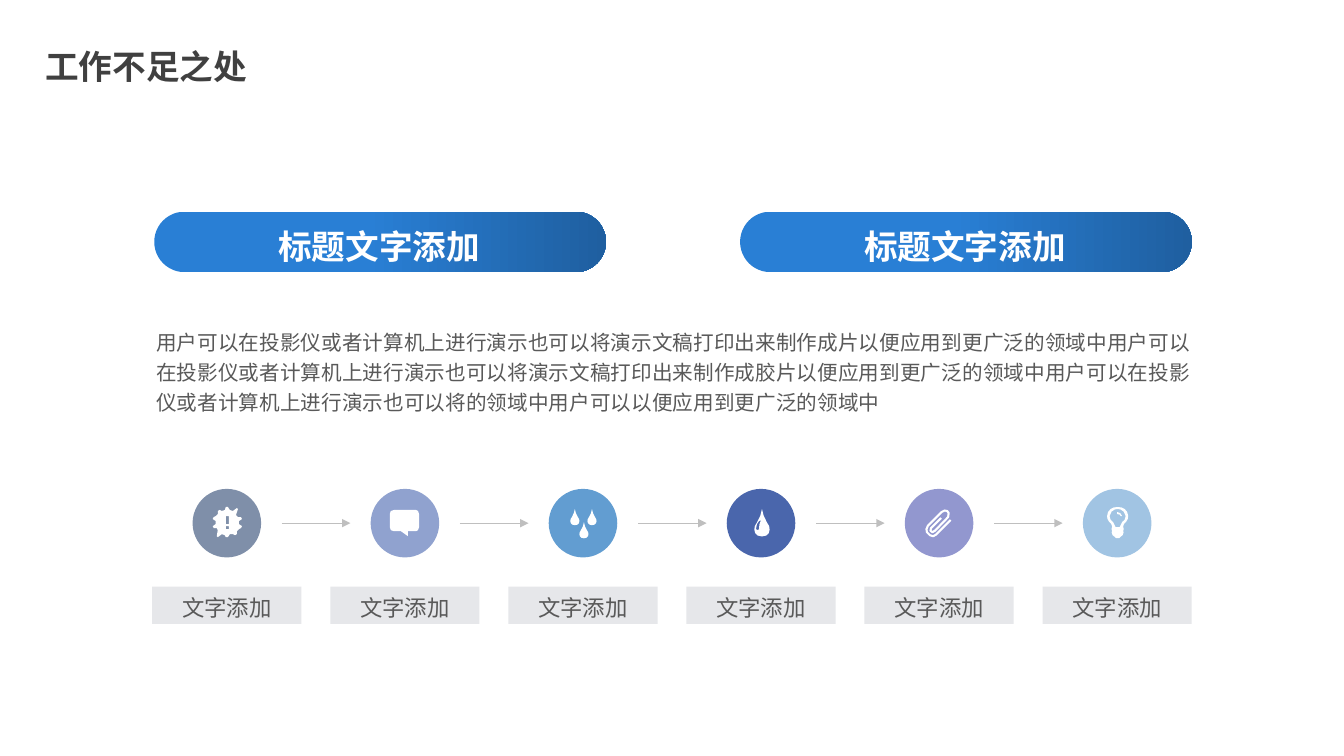
from pptx import Presentation
from pptx.dml.color import RGBColor
from pptx.enum.lang import MSO_LANGUAGE_ID
from pptx.enum.shapes import MSO_CONNECTOR, MSO_SHAPE
from pptx.enum.text import MSO_ANCHOR, PP_ALIGN
from pptx.oxml.ns import qn
from pptx.util import Pt
from lxml.etree import SubElement

PX = 9144
FINE = 10
WHITE, GREY, DARK = "FFFFFF", "595959", "404040"
CIRCLE = 68
STEP_LABEL = "文字添加"
HEADING = "标题文字添加"
BODY = (
    "用户可以在投影仪或者计算机上进行演示也可以将演示文稿打印出来制作成片以便应用到更广泛的领域中"
    "用户可以在投影仪或者计算机上进行演示也可以将演示文稿打印出来制作成胶片以便应用到更广泛的领域中"
    "用户可以在投影仪或者计算机上进行演示也可以将的领域中用户可以以便应用到更广泛的领域中"
)


def px(*lengths):
    """Turn px lengths into EMU."""
    return [round(length * PX) for length in lengths]


def paint(color_format, value):
    """Give a fill or line colour from a hex string."""
    color_format.rgb = RGBColor.from_string(value)


def solid(shape, value):
    """Fill a shape plainly, without line or shadow."""
    shape.shadow.inherit = False
    shape.fill.solid()
    paint(shape.fill.fore_color, value)
    shape.line.fill.background()


def write(shape, words, size, color, face="Arial", bold=False, align=PP_ALIGN.CENTER,
          spacing=1.2, wrap=True, top=5):
    """Set a single formatted paragraph in a shape."""
    frame = shape.text_frame
    frame.text = words
    frame_format = {"word_wrap": wrap, "vertical_anchor": MSO_ANCHOR.TOP,
                    "margin_top": px(top)[0], "margin_bottom": 0}
    for key, value in frame_format.items():
        setattr(frame, key, value)
    paragraph = frame.paragraphs[0]
    paragraph.alignment, paragraph.line_spacing = align, spacing
    font = paragraph.runs[0].font
    font_format = {"size": Pt(size), "bold": bold, "name": face,
                   "language_id": MSO_LANGUAGE_ID.SIMPLIFIED_CHINESE}
    for key, value in font_format.items():
        setattr(font, key, value)
    paint(font.color, color)
    SubElement(paragraph.runs[0]._r.rPr, qn("a:ea")).set("typeface", face)


def mirrored(half, axis, top, scale=1):
    """Close a left-hand profile with its reflection about a vertical axis."""
    left = [(axis - x * scale, top + y * scale) for x, y in half]
    return left + [(2 * axis - x, y) for x, y in reversed(left)]


DROP = [(0, 0), (1, 4), (3, 8), (4.2, 10), (4.5, 12), (4, 14), (2.5, 15.5), (0, 16)]
BULB = [(0, 0), (4, 0.5), (7, 2), (9.5, 5), (10.5, 9), (10, 12), (8.5, 14.5), (6.5, 16.5),
        (5.5, 19), (6, 22), (5.5, 24), (6, 25), (5, 28), (3, 29.5), (1.5, 31), (0, 31)]
BULB_GLASS = [(0, 0), (3, 0.5), (6, 2.5), (8, 7), (7, 10.5), (4.5, 13), (2, 18)]
BADGE = [(49, 37), (46, 35), (46, 32), (49, 30), (48, 28), (45, 28), (43, 26), (45, 20),
         (44, 19), (40, 22), (37, 21), (35, 18), (33, 18), (32, 21), (29, 22), (27, 21),
         (25, 22), (25, 25), (23, 27), (21, 28), (20, 30), (23, 32), (23, 35), (20, 37),
         (21, 39), (24, 39), (25, 41), (24, 47), (25, 48), (29, 45), (32, 46), (33, 48),
         (35, 48), (37, 45), (40, 45), (42, 46), (44, 45), (44, 42), (46, 40), (48, 39)]
BADGE_BAR = [(33, 27), (36, 27), (36, 35), (33, 35)]
BADGE_DOT = [(33, 37), (36, 37), (36, 40), (33, 40)]
BUBBLE = [(45, 21), (47, 22), (48, 25), (48, 38), (47, 41), (45, 42), (37, 42), (37, 47),
          (30, 42), (23, 42), (20, 41), (19, 38), (19, 25), (20, 22), (23, 21)]
DROP_GLINT = [(34, 31), (32.5, 35), (32, 40), (31, 41), (29, 40), (30, 35), (32, 32)]
BULB_GLINT = [(34, 23), (37, 24), (39, 27), (37.5, 27), (36.5, 25.5), (34, 25)]
CLIP = [(45.5, 31), (31, 45.5), (28, 47), (25, 46), (22, 43), (21.5, 40), (23, 36.5),
        (36.5, 23), (39.5, 21.5), (42, 22), (43.5, 24), (43, 28), (30, 41.5), (27.5, 43),
        (25.5, 41.5), (26, 39), (36, 29)]

STEPS = [
    ("7F8FA9", [BADGE, BADGE_BAR, BADGE_DOT], True),
    ("90A2CF", [BUBBLE], True),
    ("629DD1", [mirrored(DROP, 26, 20), mirrored(DROP, 43, 20), mirrored(DROP, 35, 33)], True),
    ("4A66AC", [mirrored(DROP, 35, 20, 1.7), DROP_GLINT], True),
    ("9297CF", [CLIP], False),
    ("A1C4E3", [mirrored(BULB, 34.5, 18), mirrored(BULB_GLASS, 34.5, 20), BULB_GLINT], True),
]


def add_icon(shapes, left, top, contours, filled):
    """Draw a white icon from contours, filled or as one open stroke."""
    fine = [[(x * FINE, y * FINE) for x, y in contour] for contour in contours]
    builder = shapes.build_freeform(*fine[0][0], scale=PX / FINE)
    builder.add_line_segments(fine[0][1:], close=filled)
    for contour in fine[1:]:
        builder.move_to(*contour[0])
        builder.add_line_segments(contour[1:], close=True)
    icon = builder.convert_to_shape(*px(left, top))
    solid(icon, WHITE)
    if not filled:
        icon.fill.background()
        paint(icon.line.color, WHITE)
        icon.line.width = Pt(1.5)


def add_arrow(shapes, left, y, length):
    """Draw a thin grey arrow to the right."""
    arrow = shapes.add_connector(MSO_CONNECTOR.STRAIGHT, *px(left, y, left + length, y))
    paint(arrow.line.color, "BFBFBF")
    arrow.line.width = Pt(0.25)
    SubElement(arrow.line._get_or_add_ln(), qn("a:tailEnd")).set("type", "triangle")
    SubElement(arrow._element.spPr, qn("a:effectLst"))


def add_step(shapes, left, top, width, color, contours, filled):
    """Place one step: circle, icon and label below."""
    circle_left = left + (width - CIRCLE) / 2
    circle = shapes.add_shape(MSO_SHAPE.OVAL, *px(circle_left, top, CIRCLE, CIRCLE))
    solid(circle, color)
    add_icon(shapes, circle_left, top, contours, filled)
    label = shapes.add_shape(MSO_SHAPE.RECTANGLE, *px(left, top + 97, width, 37))
    solid(label, "E6E7EA")
    write(label, STEP_LABEL, 16, GREY, top=2)


def add_process(shapes, left, top, width):
    """Spread the steps evenly over a width, with arrows between them."""
    step_width = 148
    pitch = (width - step_width) / (len(STEPS) - 1)
    for index, step in enumerate(STEPS):
        step_left = left + index * pitch
        add_step(shapes, step_left, top, step_width, *step)
        if index:
            add_arrow(shapes, step_left - 48, top + 34, 68)


def add_heading(shapes, left, top, width, height):
    """Draw a gradient pill with its heading."""
    pill = shapes.add_shape(MSO_SHAPE.ROUNDED_RECTANGLE, *px(left, top, width, height))
    pill.adjustments[0] = 0.5
    solid(pill, WHITE)
    pill.fill.gradient()
    pill.fill.gradient_angle = 0
    for stop, position, color in zip(pill.fill.gradient_stops, (0.47, 1), ("297FD5", "1F5FA0")):
        stop.position = position
        paint(stop.color, color)
    heading = shapes.add_textbox(*px(left + 1, top + 1, width - 4, height - 6))
    write(heading, HEADING, 24, WHITE, bold=True)


def place_title(title, left, top, width, height):
    """Move and format the title placeholder."""
    title.left, title.top, title.width, title.height = px(left, top, width, height)
    write(title, "工作不足之处", 24, DARK, face="Noto Sans CJK SC", bold=True,
          align=PP_ALIGN.LEFT, spacing=1.0, wrap=False)


def main():
    """Build and save the slide."""
    deck = Presentation()
    deck.slide_width, deck.slide_height = px(1333, 750)
    slide = deck.slides.add_slide(deck.slide_layouts[5])
    shapes = slide.shapes
    place_title(shapes.title, 35, 41, 222, 50)
    for left in (153, 734):
        add_heading(shapes, left, 210, 448, 60)
    body = shapes.add_textbox(*px(145, 318, 1048, 96))
    write(body, BODY, 14.7, GREY, align=PP_ALIGN.LEFT)
    add_process(shapes, 151, 485, 1031)
    deck.save("out.pptx")


if __name__ == "__main__":
    main()
